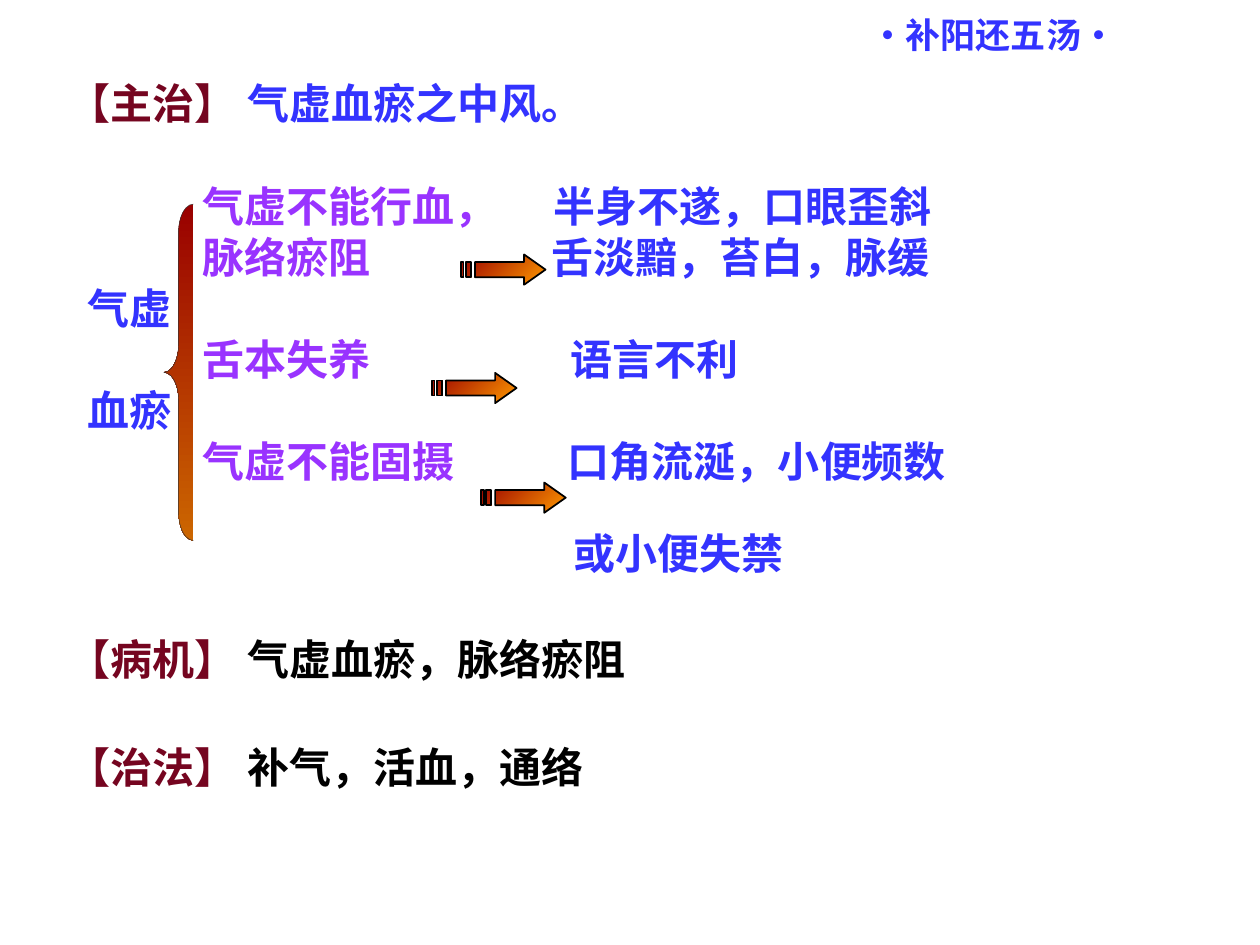
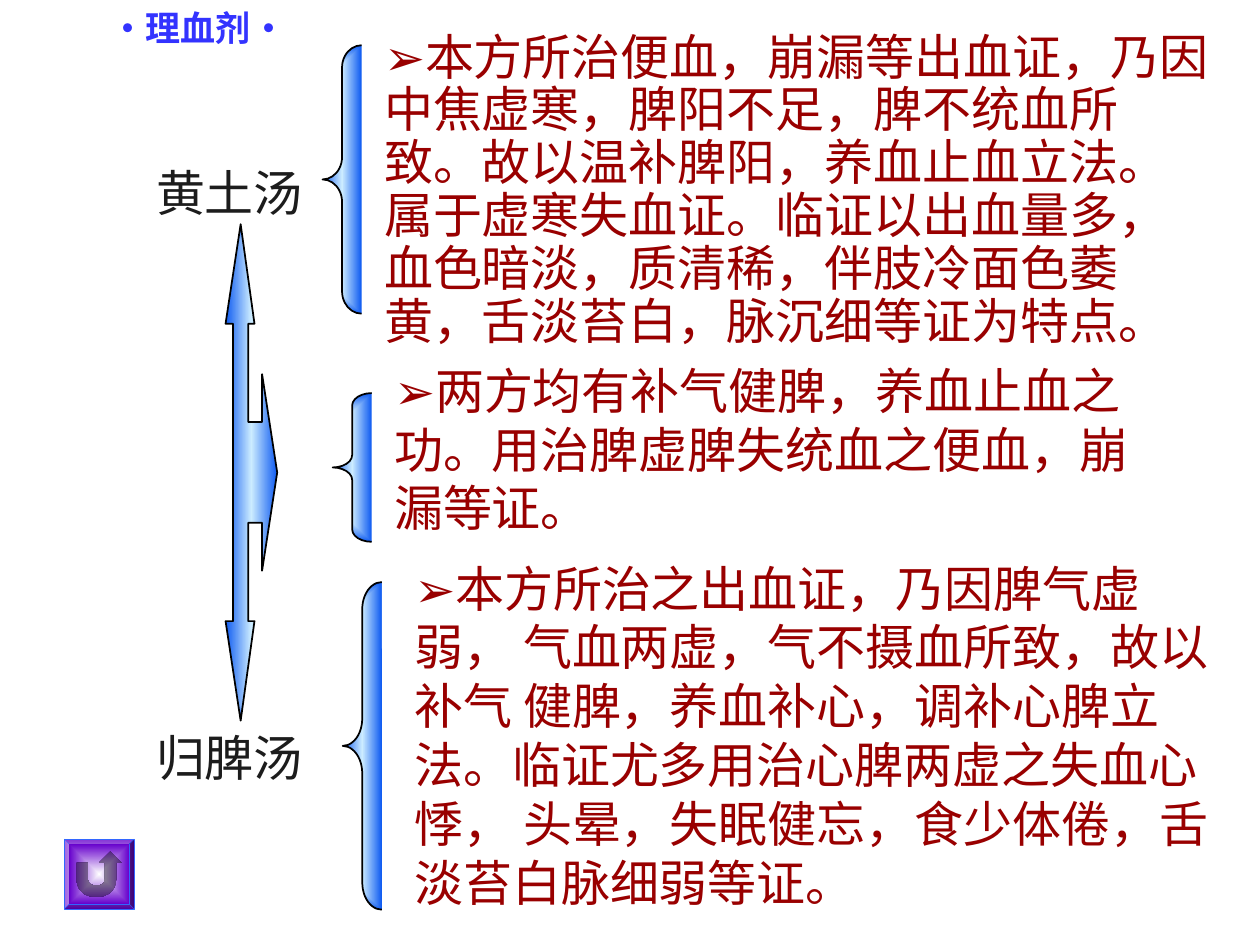
from lxml.etree import SubElement
from pptx import Presentation
from pptx.dml.color import RGBColor
from pptx.enum.shapes import MSO_SHAPE
from pptx.enum.text import MSO_ANCHOR, MSO_AUTO_SIZE, PP_ALIGN
from pptx.oxml import parse_xml
from pptx.oxml.ns import nsdecls, qn
from pptx.util import Inches, Pt

CELL = Inches(0.1)
COLS, ROWS = 100, 75
BLUE, PURPLE, WINE, RED = "3333FF", "9933FF", "750520", "990000"
BLACK, INK = "000000", "1C1C1C"
JP, SC, ARIAL = "Noto Sans CJK JP", "Noto Sans CJK SC", "Arial"
SKY = ("CCECFF", "0F5BF1")
LINE_ROWS = 4


def rgb(value):
    return RGBColor.from_string(value)


def cells(*values):
    return [round(v * CELL) for v in values]


def style(font, name, size, color, bold=False):
    font.size, font.bold = Pt(size), bold
    font.color.rgb = rgb(color)
    font.name = name
    SubElement(font._rPr, qn("a:ea")).set("typeface", SC if name == ARIAL else name)


def gradient(sp, colors, angle=None):
    stops = "".join(
        f'<a:gs pos="{pos}"><a:srgbClr val="{c}"/></a:gs>'
        for pos, c in zip((0, 100000), colors))
    if angle is None:
        shade = ('<a:path path="rect"><a:fillToRect l="50000" t="50000" '
                 'r="50000" b="50000"/></a:path>')
    else:
        shade = f'<a:lin ang="{angle * 60000}" scaled="0"/>'
    sp.fill.solid()
    spPr = sp._element.spPr
    spPr.replace(spPr.find(qn("a:solidFill")), parse_xml(
        f'<a:gradFill {nsdecls("a")} rotWithShape="1">'
        f'<a:gsLst>{stops}</a:gsLst>{shade}</a:gradFill>'))


def finish(sp, colors, angle=None, line=BLACK, width=1):
    sp.shadow.inherit = False
    gradient(sp, colors, angle)
    if line:
        sp.line.color.rgb = rgb(line)
        sp.line.width = Pt(width)
    else:
        sp.line.fill.background()
    return sp


def outline(s, x, y, contours):
    first, *others = [[cells(*point) for point in c] for c in contours]
    fb = s.shapes.build_freeform(*first[0])
    fb.add_line_segments(first[1:], close=True)
    for start, *rest in others:
        fb.move_to(*start)
        fb.add_line_segments(rest, close=True)
    return fb.convert_to_shape(*cells(x, y))


def text_frame(s, x, y, w, h, anchor=MSO_ANCHOR.TOP):
    tf = s.shapes.add_textbox(*cells(x, y, w, h)).text_frame
    tf.word_wrap = True
    tf.vertical_anchor = anchor
    return tf


def line_of_text(s, x, middle, text, color, size=24, bold=True):
    tf = text_frame(s, x - 1, middle - LINE_ROWS / 2, COLS / 2, LINE_ROWS, MSO_ANCHOR.MIDDLE)
    p = tf.paragraphs[0]
    p.text = text
    style(p.font, JP, size, color, bold)


def labelled_runs(tf, runs):
    p = tf.paragraphs[0]
    for text, *look in runs:
        r = p.add_run()
        r.text = text
        style(r.font, *look)
    return p


def title(s, text, x, y):
    sp = s.shapes.title
    sp.left, sp.top, sp.width, sp.height = cells(x, y, 30.7, 4.4)
    tf = sp.text_frame
    tf.auto_size = MSO_AUTO_SIZE.NONE
    tf.vertical_anchor = MSO_ANCHOR.MIDDLE
    p = tf.paragraphs[0]
    p.text = f"·{text}·"
    p.alignment = PP_ALIGN.CENTER
    style(p.font, SC, 20, BLUE, True)


def brace(s, x, y, w, h, colors, **look):
    sp = s.shapes.add_shape(MSO_SHAPE.LEFT_BRACE, *cells(x, y, w, h))
    sp.adjustments[0] = h / 12 / w
    return finish(sp, colors, **look)


def striped_arrow(s, x, y):
    head = [(1.1, 0.6), (5, 0.6), (5, 0), (6.7, 1.2), (5, 2.4), (5, 1.8), (1.1, 1.8)]
    stripes = [[(a, 0.6), (b, 0.6), (b, 1.8), (a, 1.8)] for a, b in ((0, 0.2), (0.4, 0.8))]
    finish(outline(s, x, y, [head, *stripes]), ("FF9900", RED), 225)


def section(s, x, middle, label, text, color, name):
    tf = text_frame(s, x, middle - LINE_ROWS / 2, COLS - 2 * x, LINE_ROWS, MSO_ANCHOR.MIDDLE)
    labelled_runs(tf, [(f"【{label}】", ARIAL, 24, WINE, True),
                       (" ", SC, 28, color),
                       (text, name, 24, color, True)])


def mechanism(s, x, y):
    pitch, first = 4.05, y + 0.13
    for row, text in ((2, "气虚"), (4, "血瘀")):
        line_of_text(s, x + 0.1, first + row * pitch, text, BLUE)
    brace(s, x + 6.1, y, 2.35, 26.7, (RED, "CC6600"), angle=90, line="333333", width=0.25)
    causes = ((0, "气虚不能行血，"), (1, "脉络瘀阻"), (3, "舌本失养"), (5, "气虚不能固摄"))
    for row, text in causes:
        line_of_text(s, x + 9.2, first + row * pitch, text, PURPLE)
    signs = ((0, 37.05, "半身不遂，口眼歪斜"), (1, 36.9, "舌淡黯，苔白，脉缓"),
             (3, 38.4, "语言不利"), (5, 38.2, "口角流涎，小便频数"),
             (6.8, 38.6, "或小便失禁"))
    for row, dx, text in signs:
        line_of_text(s, x + dx, first + row * pitch, text, BLUE)
    for dx, dy in ((29.7, 4), (27.4, 13.4), (31.3, 22.1)):
        striped_arrow(s, x + dx, y + dy)


def two_way_arrow(s, x, y):
    h = 39.4
    upper = [(1.2, 0), (2.3, 7.9), (1.8, 7.9), (1.8, 15.7), (2.9, 15.7), (2.9, 11.9)]
    lower = [(px, h - py) for px, py in reversed(upper)]
    left = [(0, h - 7.9), (0.6, h - 7.9), (0.6, 7.9), (0, 7.9)]
    finish(outline(s, x, y, [[*upper, (4.1, h / 2), *lower, *left]]), SKY)


def return_button(s, x, y, side):
    edge = side * 0.07
    look = ("FFFFFF", "6600CC")
    sp = s.shapes.add_shape(MSO_SHAPE.BEVEL, *cells(x, y, side, side))
    sp.adjustments[0] = 0.07
    finish(sp, look, line="3366FF", width=0.25)
    inner = side - 2 * edge
    icon = s.shapes.add_shape(MSO_SHAPE.ACTION_BUTTON_RETURN,
                              *cells(x + edge, y + edge, inner, inner))
    finish(icon, look, line=None)


def remark(s, x, y, w, h, text, spacing=1.0):
    p = labelled_runs(text_frame(s, x, y, w, h),
                      [("➢", ARIAL, 28, RED), (text, JP, 28, RED)])
    p.line_spacing = spacing
    p._p.get_or_add_pPr().set("hangingPunct", "0")


def formulas(s, x, y):
    for dy, name in ((0, "黄土汤"), (44.9, "归脾汤")):
        line_of_text(s, x, y + dy, name, INK, 28, False)
    two_way_arrow(s, x + 5.5, y + 2.6)


def indications_slide(prs):
    s = prs.slides.add_slide(prs.slide_layouts[5])
    title(s, "补阳还五汤", 63.5, 0.55)
    section(s, 4.45, 7.9, "主治", "气虚血瘀之中风。", BLUE, JP)
    mechanism(s, 6.9, 16.2)
    section(s, 4.45, 52.1, "病机", "气虚血瘀，脉络瘀阻", BLACK, ARIAL)
    section(s, 4.45, 60.65, "治法", "补气，活血，通络", BLACK, ARIAL)


def comparison_slide(prs):
    s = prs.slides.add_slide(prs.slide_layouts[5])
    title(s, "理血剂", 0.4, 0)
    remark(s, 29.5, 2.1, 67.8, 26.2,
           "本方所治便血，崩漏等出血证，乃因中焦虚寒，脾阳不足，脾不统血所致。"
           "故以温补脾阳，养血止血立法。属于虚寒失血证。临证以出血量多，血色暗淡，"
           "质清稀，伴肢冷面色萎黄，舌淡苔白，脉沉细等证为特点。", 0.9)
    remark(s, 30.3, 28.1, 62.5, 15,
           "两方均有补气健脾，养血止血之功。用治脾虚脾失统血之便血，崩漏等证。")
    remark(s, 31.9, 43.8, 65, 29,
           "本方所治之出血证，乃因脾气虚弱， 气血两虚，气不摄血所致，故以补气 健脾，"
           "养血补心，调补心脾立法。临证尤多用治心脾两虚之失血心悸， 头晕，失眠健忘，"
           "食少体倦，舌淡苔白脉细弱等证。")
    formulas(s, 12.4, 15.2)
    return_button(s, 5.1, 66.6, 5.55)
    for x, y, h in ((25.6, 3.6, 21.3), (26.4, 31.2, 11.8), (27.2, 46.2, 26)):
        brace(s, x, y, 3.1, h, SKY)


def main():
    prs = Presentation()
    prs.slide_width, prs.slide_height = cells(COLS, ROWS)
    indications_slide(prs)
    comparison_slide(prs)
    prs.save("out.pptx")


if __name__ == "__main__":
    main()
